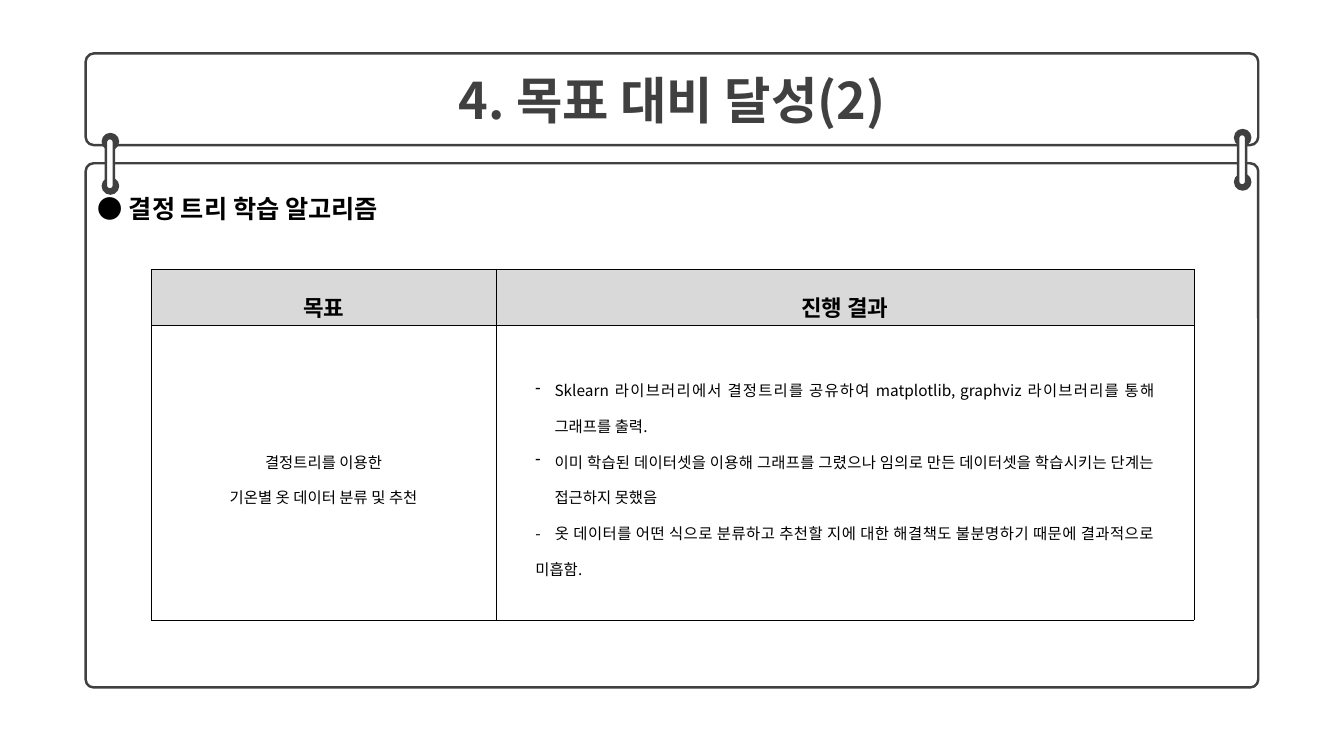
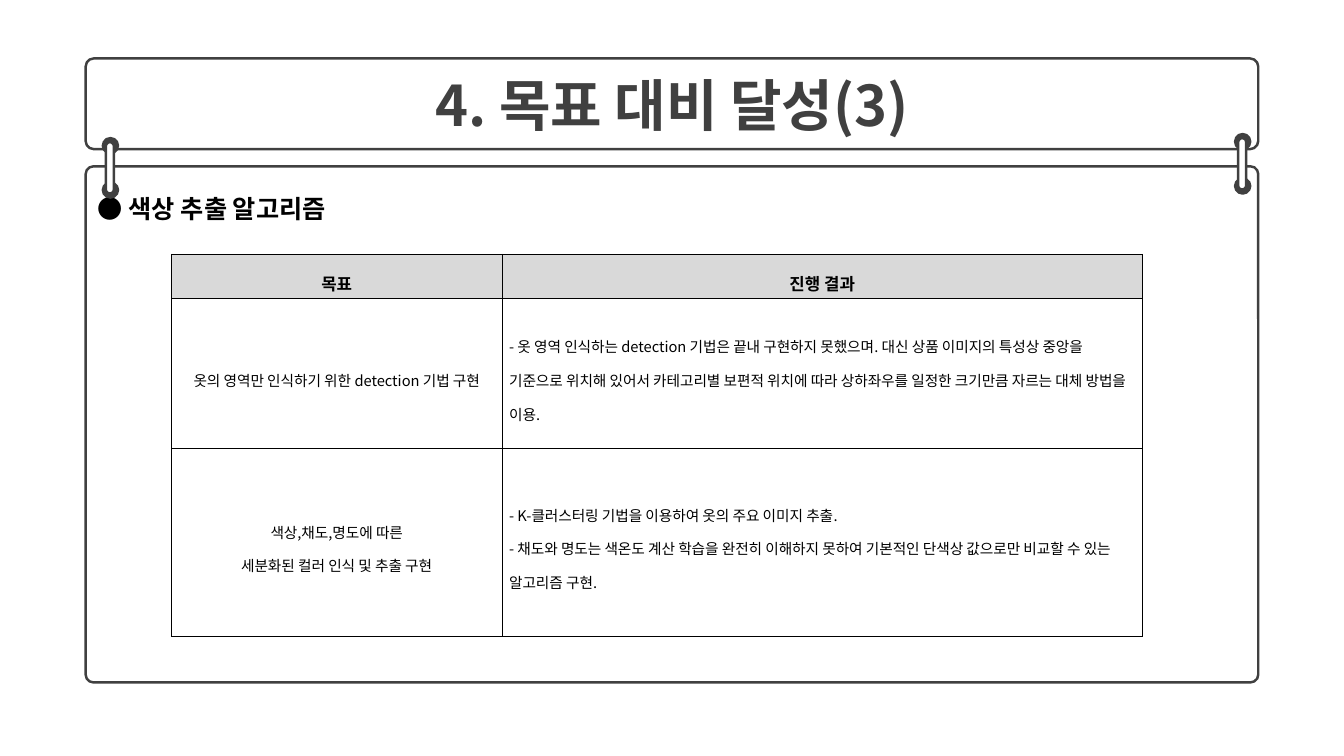
from lxml import etree
from pptx import Presentation
from pptx import util as u
from pptx.dml.color import RGBColor
from pptx.enum import shapes, text
from pptx.oxml.ns import qn

COLORS = {"frame": "404040", "paper": "FFFFFF", "ink": "000000", "header": "D9D9D9"}
FONT = "Noto Sans CJK KR"
FRAME_LEFT, FRAME_WIDTH = 0.85, 11.63
RING_SIZE, RING_DROP = 0.15, 0.44
HANGING = 0.19
CENTER, LEFT, JUSTIFY = (text.PP_ALIGN.CENTER, text.PP_ALIGN.LEFT,
                         text.PP_ALIGN.JUSTIFY)

SLIDES = [
    {
        "title": "4. 목표 대비 달성(2)", "title_size": 36,
        "heading": "결정 트리 학습 알고리즘", "heading_drop": 0.28,
        "banner": (0.53, 0.91), "panel": (1.62, 5.2),
        "table": {
            "at": (1.5, 2.67), "cols": (3.42, 6.92), "rows": (0.43, 2.93),
            "header_size": 16, "size": 11, "margins": (0.39, 0.2),
            "result_align": JUSTIFY,
            # (lines of the goal, lines of the result with their dash style)
            "body": [
                (["결정트리를 이용한", "기온별 옷 데이터 분류 및 추천"],
                 [("Sklearn 라이브러리에서 결정트리를 공유하여 matplotlib, graphviz "
                   "라이브러리를 통해 그래프를 출력.", "bullet"),
                  ("이미 학습된 데이터셋을 이용해 그래프를 그렸으나 임의로 만든 데이터셋을 "
                   "학습시키는 단계는 접근하지 못했음", "bullet"),
                  ("-\t옷 데이터를 어떤 식으로 분류하고 추천할 지에 대한 해결책도 "
                   "불분명하기 때문에 결과적으로 미흡함.", "tab")]),
            ],
        },
    },
    {
        "title": "4. 목표 대비 달성(3)", "title_size": 40,
        "heading": "색상 추출 알고리즘", "heading_drop": 0.25,
        "banner": (0.58, 0.9), "panel": (1.65, 5.12),
        "table": {
            "at": (1.7, 2.52), "cols": (3.28, 6.35), "rows": (0.44, 1.49, 1.86),
            "header_size": 12, "size": 10.5, "margins": (0.07, 0.02),
            "result_align": LEFT,
            "body": [
                (["옷의 영역만 인식하기 위한 detection 기법 구현"],
                 [("- 옷 영역 인식하는 detection 기법은 끝내 구현하지 못했으며. 대신 상품 "
                   "이미지의 특성상 중앙을 기준으로 위치해 있어서 카테고리별 보편적 위치에 "
                   "따라 상하좌우를 일정한 크기만큼 자르는 대체 방법을 이용.", None)]),
                (["색상,채도,명도에 따른", "세분화된 컬러 인식 및 추출 구현"],
                 [("- K-클러스터링 기법을 이용하여 옷의 주요 이미지 추출.", None),
                  ("- 채도와 명도는 색온도 계산 학습을 완전히 이해하지 못하여 기본적인 "
                   "단색상 값으로만 비교할 수 있는 알고리즘 구현.", None)]),
            ],
        },
    },
]


def color(name):
    return RGBColor.from_string(COLORS[name])


def add_run(paragraph, words, size, ink="ink", bold=False):
    run = paragraph.add_run()
    run.text = words
    run.font.size = u.Pt(size)
    run.font.bold = bold
    run.font.name = FONT
    run.font.color.rgb = color(ink)
    east_asian = etree.SubElement(run.font._element, qn("a:ea"))
    east_asian.set("typeface", FONT)


def add_rounded(slide, left, top, width, height, fill="paper", radius=0.5):
    box = slide.shapes.add_shape(
        shapes.MSO_SHAPE.ROUNDED_RECTANGLE, u.Inches(left), u.Inches(top),
        u.Inches(width), u.Inches(height))
    box.adjustments[0] = radius
    box.shadow.inherit = False
    box.fill.solid()
    box.fill.fore_color.rgb = color(fill)
    box.line.color.rgb = color("frame")
    box.line.width = u.Pt(1.75)
    return box


def add_ring(slide, left, top):
    """Two holes joined by an upright clip."""
    for hole_top in (top, top + RING_DROP):
        add_rounded(slide, left, hole_top, RING_SIZE, RING_SIZE, "frame")
    add_rounded(slide, left + 0.03, top + 0.04, 0.08, 0.51)


def add_frame(slide, page):
    """Title banner and heading panel, held together by two rings."""
    top, height = page["banner"]
    banner = add_rounded(slide, FRAME_LEFT, top, FRAME_WIDTH, height, radius=0.09)
    banner.text_frame.vertical_anchor = text.MSO_ANCHOR.MIDDLE
    title = banner.text_frame.paragraphs[0]
    title.alignment = CENTER
    add_run(title, page["title"], page["title_size"], "frame", bold=True)

    panel_top, panel_height = page["panel"]
    panel = add_rounded(slide, FRAME_LEFT, panel_top, FRAME_WIDTH, panel_height,
                        radius=0.015)
    panel.text_frame.vertical_anchor = text.MSO_ANCHOR.TOP
    panel.text_frame.margin_top = u.Inches(page["heading_drop"])
    heading = panel.text_frame.paragraphs[0]
    heading.alignment = LEFT
    add_run(heading, "●", 18)
    add_run(heading, " " + page["heading"], 18, bold=True)

    ring_top = top + height - 0.11
    add_ring(slide, 1.02, ring_top)
    add_ring(slide, 12.25, ring_top - 0.04)


def set_dash(paragraph, dash):
    """Hang the text on a dash bullet, or stop its first tab at the same indent."""
    props = paragraph._p.get_or_add_pPr()
    indent = u.Inches(HANGING)
    if dash == "bullet":
        props.set("marL", str(indent))
        props.set("indent", str(-indent))
        etree.SubElement(props, qn("a:buChar")).set("char", "-")
    elif dash == "tab":
        stops = etree.SubElement(props, qn("a:tabLst"))
        stop = etree.SubElement(stops, qn("a:tab"))
        stop.set("pos", str(indent))
        stop.set("algn", "l")


def set_borders(cell):
    props = cell._tc.get_or_add_tcPr()
    for place, side in enumerate(("a:lnL", "a:lnR", "a:lnT", "a:lnB")):
        border = etree.Element(qn(side), w=str(u.Pt(0.28)))
        fill = etree.SubElement(border, qn("a:solidFill"))
        etree.SubElement(fill, qn("a:srgbClr")).set("val", COLORS["ink"])
        props.insert(place, border)


def fill_cell(cell, lines, size, align=CENTER, fill="paper", bold=False,
              margins=(0.07, 0.02)):
    cell.fill.solid()
    cell.fill.fore_color.rgb = color(fill)
    set_borders(cell)
    cell.vertical_anchor = text.MSO_ANCHOR.MIDDLE
    cell.margin_left = cell.margin_right = u.Inches(margins[0])
    cell.margin_top = cell.margin_bottom = u.Inches(margins[1])
    frame = cell.text_frame
    for number, (words, dash) in enumerate(lines):
        paragraph = frame.add_paragraph() if number else frame.paragraphs[0]
        paragraph.alignment = align
        paragraph.line_spacing = 1.6
        set_dash(paragraph, dash)
        add_run(paragraph, words, size, bold=bold)


def add_results(slide, plan):
    left, top = plan["at"]
    table = slide.shapes.add_table(
        len(plan["rows"]), len(plan["cols"]), u.Inches(left), u.Inches(top),
        u.Inches(sum(plan["cols"])), u.Inches(sum(plan["rows"]))).table
    table.first_row = table.horz_banding = False
    for column, width in zip(table.columns, plan["cols"]):
        column.width = u.Inches(width)
    for row, height in zip(table.rows, plan["rows"]):
        row.height = u.Inches(height)

    for col, label in enumerate(("목표", "진행 결과")):
        fill_cell(table.cell(0, col), [(label, None)], plan["header_size"],
                  fill="header", bold=True)
    for row, (goal, result) in enumerate(plan["body"], start=1):
        fill_cell(table.cell(row, 0), [(line, None) for line in goal],
                  plan["size"], margins=plan["margins"])
        fill_cell(table.cell(row, 1), result, plan["size"],
                  align=plan["result_align"], margins=plan["margins"])


def main():
    deck = Presentation()
    deck.slide_width, deck.slide_height = u.Inches(13.33), u.Inches(7.5)
    for page in SLIDES:
        slide = deck.slides.add_slide(deck.slide_layouts[6])
        add_frame(slide, page)
        add_results(slide, page["table"])
    deck.save("out.pptx")


if __name__ == "__main__":
    main()
